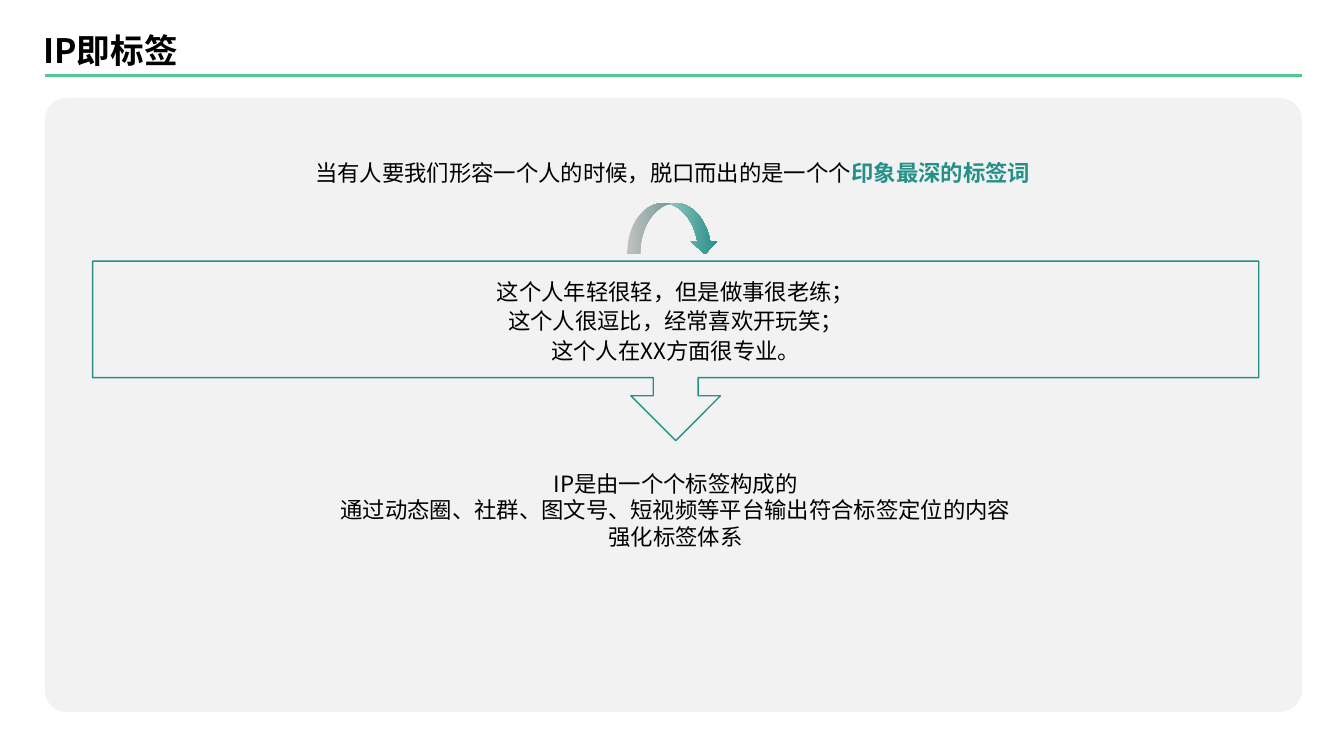
"""Build the slide that explains a personal IP as a set of labels."""
from lxml import etree
from pptx import Presentation
from pptx.dml.color import RGBColor
from pptx.enum.shapes import MSO_CONNECTOR as Connector, MSO_SHAPE as Shape
from pptx.enum.text import MSO_ANCHOR as Anchor, MSO_AUTO_SIZE as AutoSize, PP_ALIGN as Align
from pptx.oxml.ns import qn
from pptx.util import Pt

FONT = "Noto Sans CJK SC"
COLORS = {"black": "000000", "teal": "249087", "green": "52C98E", "panel": "F2F2F2"}


def color(name):
    return RGBColor.from_string(COLORS[name])


def write(shape, lines, size=16, bold=False, align=Align.CENTER, anchor=Anchor.TOP,
          spacing=None, highlight=None):
    frame = shape.text_frame
    frame.word_wrap = True
    frame.vertical_anchor = anchor
    for index, line in enumerate(lines):
        paragraph = frame.add_paragraph() if index else frame.paragraphs[0]
        paragraph.alignment = align
        if spacing:
            paragraph.line_spacing = Pt(spacing)
        pieces = [(line, "black", bold)]
        if highlight:
            pieces.append((highlight, "teal", True))
        for text, tint, heavy in pieces:
            run = paragraph.add_run()
            run.text = text
            run.font.size = Pt(size)
            run.font.bold = heavy
            run.font.name = FONT
            run.font.color.rgb = color(tint)
            etree.SubElement(run.font._element, qn("a:ea"), typeface=FONT)


presentation = Presentation()
presentation.slide_width, presentation.slide_height = Pt(960), Pt(540)
slide = presentation.slides.add_slide(presentation.slide_layouts[5])
shapes = slide.shapes

title = shapes.title
title.left, title.top, title.width, title.height = Pt(23.8), Pt(18), Pt(320), Pt(36)
write(title, ["IP即标签"], size=24, bold=True, align=Align.LEFT)
title.text_frame.auto_size = AutoSize.SHAPE_TO_FIT_TEXT

panel = shapes.add_shape(Shape.ROUNDED_RECTANGLE, Pt(32), Pt(70), Pt(898), Pt(438.5))
panel.adjustments[0] = 0.035
panel.fill.solid()
panel.fill.fore_color.rgb = color("panel")
panel.line.fill.background()
panel.shadow.inherit = False

rule = shapes.add_connector(Connector.STRAIGHT, Pt(32), Pt(54), Pt(930), Pt(54))
rule.line.color.rgb = color("green")
rule.line.width = Pt(2.5)
etree.SubElement(rule._element.spPr, qn("a:effectLst"))

intro = shapes.add_textbox(Pt(39.6), Pt(110.2), Pt(882), Pt(236.9))
write(intro, ["当有人要我们形容一个人的时候，脱口而出的是一个个"], highlight="印象最深的标签词")

arrow = shapes.add_shape(Shape.CURVED_DOWN_ARROW, Pt(448), Pt(145), Pt(64.8), Pt(36.7))
arrow.fill.gradient()
arrow.fill.gradient_angle = 0
for stop, position, tint in zip(arrow.fill.gradient_stops, (0, 1), ("panel", "teal")):
    stop.position = position
    stop.color.rgb = color(tint)
arrow.line.fill.background()
arrow.shadow.inherit = False

examples = shapes.add_shape(Shape.DOWN_ARROW_CALLOUT, Pt(66.2), Pt(186.5), Pt(833), Pt(128.2))
examples.fill.background()
examples.line.color.rgb = color("teal")
examples.line.width = Pt(1)
examples.shadow.inherit = False
write(examples, [
    "这个人年轻很轻，但是做事很老练；",
    "这个人很逗比，经常喜欢开玩笑；",
    "这个人在XX方面很专业。",
], anchor=Anchor.MIDDLE, spacing=21)

conclusion = shapes.add_textbox(Pt(66.2), Pt(332), Pt(833), Pt(67))
write(conclusion, [
    "IP是由一个个标签构成的",
    "通过动态圈、社群、图文号、短视频等平台输出符合标签定位的内容",
    "强化标签体系",
])

presentation.save("out.pptx")
